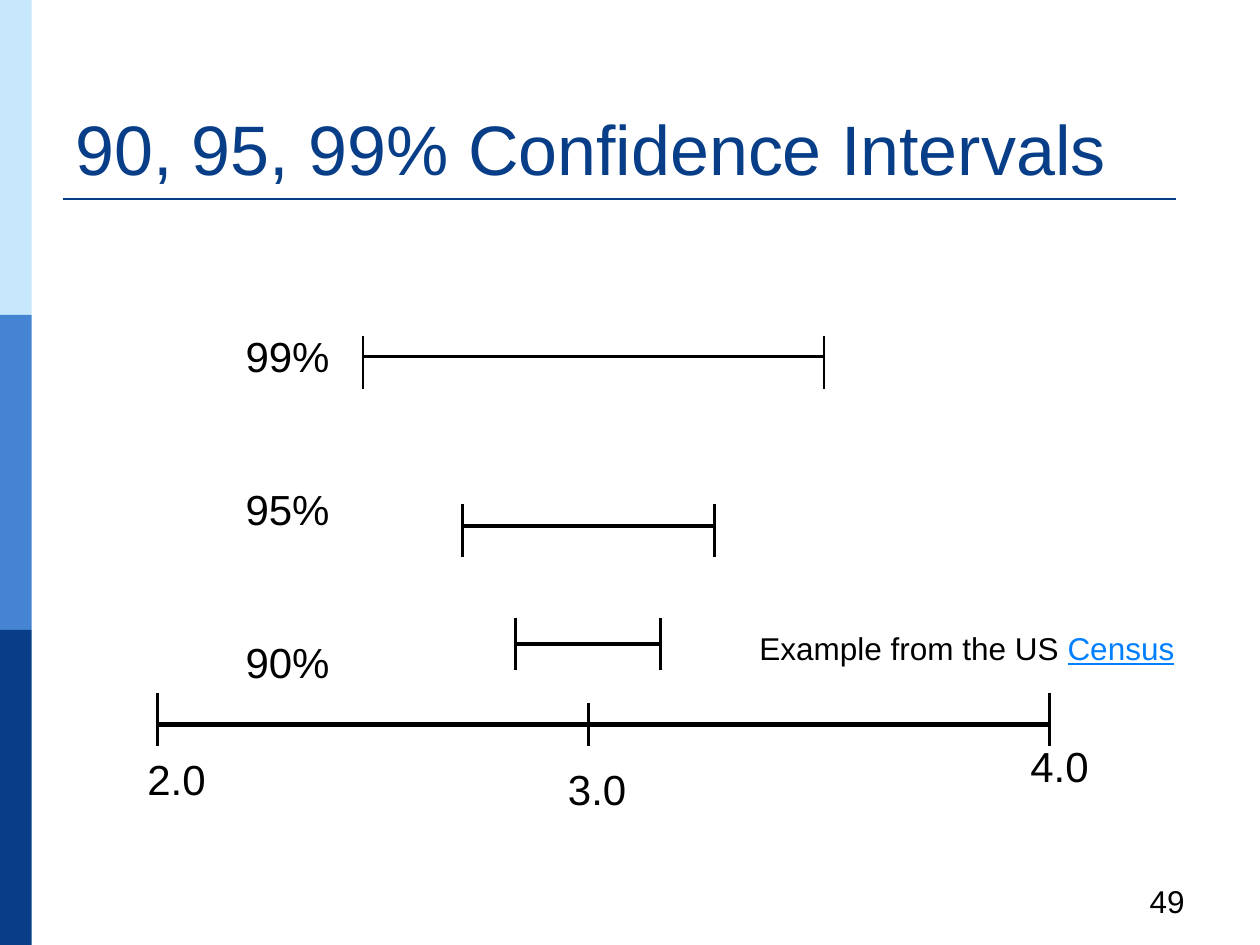
from dataclasses import dataclass

from lxml import etree
from pptx import Presentation
from pptx import util as u
from pptx.dml.color import RGBColor
from pptx.enum import shapes, text
from pptx.oxml.ns import qn


@dataclass(frozen=True)
class Theme:
    font: str = "Arial"
    navy: str = "073E87"
    blue: str = "4584D3"
    pale: str = "C6E7FC"
    ink: str = "000000"
    link: str = "0080FF"
    title: int = 40
    label: int = 24
    small: int = 18


THEME = Theme()
CAP_HEIGHT = 1.06

# level, low end, high end, line height on the slide, top of the end caps (cm)
INTERVALS = [
    ("99%", 7.32, 16.61, 7.19, 6.78),
    ("95%", 9.32, 14.4, 10.6, 10.16),
    ("90%", 10.39, 13.31, 12.98, 12.45),
]
# value, tick position, tick top, label left, label top (cm)
TICKS = [
    ("2.0", 3.18, 13.97, 2.72, 15.06),
    ("3.0", 11.86, 14.17, 11.2, 15.27),
    ("4.0", 21.16, 13.97, 20.52, 14.81),
]
AXIS_Y = 14.6
TICK_BOTTOM = 15.04


def add_line(slide, x1, y1, x2, y2, weight, color=THEME.ink):
    line = slide.shapes.add_connector(
        shapes.MSO_CONNECTOR.STRAIGHT, u.Cm(x1), u.Cm(y1), u.Cm(x2), u.Cm(y2))
    line.line.color.rgb = RGBColor.from_string(color)
    line.line.width = u.Pt(weight)
    etree.SubElement(line._element.spPr, qn("a:effectLst"))


def style_run(run, size, color):
    run.font.name = THEME.font
    run.font.size = u.Pt(size)
    run.font.color.rgb = RGBColor.from_string(color)


def add_text(slide, box, content, size, color=THEME.ink, wrap=False):
    """Place text in a (left, top, width, height) box and return its frame."""
    frame = slide.shapes.add_textbox(*map(u.Cm, box)).text_frame
    frame.text = content
    frame.word_wrap = wrap
    for paragraph in frame.paragraphs:
        for run in paragraph.runs:
            style_run(run, size, color)
    return frame


def add_side_bands(slide):
    height = 6.35
    for row, color in enumerate((THEME.pale, THEME.blue, THEME.navy)):
        band = slide.shapes.add_shape(
            shapes.MSO_SHAPE.RECTANGLE,
            0, u.Cm(row * height), u.Cm(0.64), u.Cm(height))
        band.fill.solid()
        band.fill.fore_color.rgb = RGBColor.from_string(color)
        band.line.fill.background()
        band.shadow.inherit = False


def add_heading(slide):
    heading = add_text(slide, (1.27, 0.76, 22.86, 3.18),
                       "90, 95, 99% Confidence Intervals",
                       THEME.title, THEME.navy, wrap=True)
    heading.vertical_anchor = text.MSO_ANCHOR.BOTTOM
    add_line(slide, 1.27, 4.01, 23.7, 4.01, 1.5, THEME.navy)


def add_intervals(slide):
    for _, low, high, y, cap_top in INTERVALS:
        add_line(slide, low, y, high, y, 2)
        for end in (low, high):
            add_line(slide, end, cap_top, end, cap_top + CAP_HEIGHT, 1.5)
    levels = add_text(slide, (4.7, 6.53, 2.24, 10),
                      "\n".join(row[0] for row in INTERVALS), THEME.label)
    for level in levels.paragraphs[1:]:
        level.space_before = u.Pt(58.7)


def add_axis(slide):
    add_line(slide, TICKS[0][1], AXIS_Y, TICKS[-1][1], AXIS_Y, 3)
    for value, x, top, label_left, label_top in TICKS:
        add_line(slide, x, top, x, TICK_BOTTOM, 1.5)
        add_text(slide, (label_left, label_top, 1.7, 1.27), value, THEME.label)


def add_credit(slide):
    credit = add_text(slide, (15.06, 12.55, 8.97, 1.02),
                      "Example from the US ", THEME.small)
    source = credit.paragraphs[0].add_run()
    source.text = "Census"
    style_run(source, THEME.small, THEME.link)
    source.font.underline = True


def add_page_number(slide):
    number = add_text(slide, (18.21, 17.65, 5.92, 1.02), "49",
                      THEME.small, wrap=True)
    number.paragraphs[0].alignment = text.PP_ALIGN.RIGHT


def main():
    deck = Presentation()
    deck.slide_width, deck.slide_height = u.Cm(25.4), u.Cm(19.05)
    slide = deck.slides.add_slide(deck.slide_layouts[6])
    add_side_bands(slide)
    add_heading(slide)
    add_page_number(slide)
    add_axis(slide)
    add_intervals(slide)
    add_credit(slide)
    deck.save("out.pptx")


if __name__ == "__main__":
    main()
